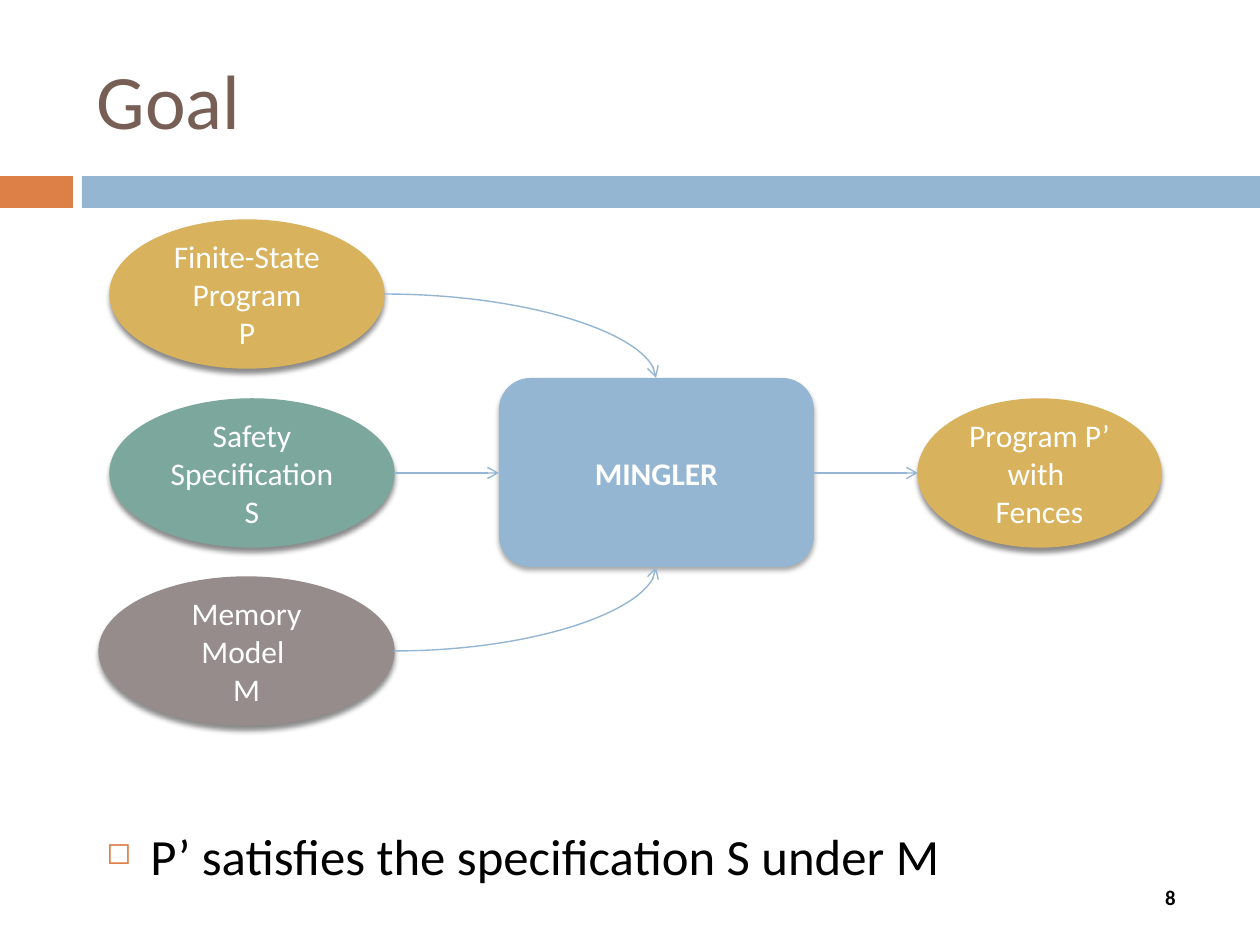
from dataclasses import dataclass
from lxml.etree import SubElement
from pptx import Presentation
from pptx.dml.color import RGBColor
from pptx.enum.shapes import MSO_CONNECTOR as Connector, MSO_SHAPE as Preset
from pptx.enum.text import MSO_ANCHOR as Anchor, PP_ALIGN as Align
from pptx.oxml.ns import qn
from pptx.util import Emu, Pt

PX = 914400 / 126


@dataclass(frozen=True)
class Theme:
    font: str = "Calibri"
    orange: str = "DD8047"
    blue: str = "94B6D2"
    gold: str = "D8B25C"
    green: str = "7BA79D"
    grey: str = "968C8C"
    brown: str = "775F55"
    black: str = "000000"
    white: str = "FFFFFF"
    title_size: float = 44
    body_size: float = 29
    node_size: float = 18
    number_size: float = 11.9
    line_width: float = 0.79


def px(*lengths):
    return [Emu(round(length * PX)) for length in lengths]


def write(shape, paragraphs, size, color, align=Align.CENTER, anchor=Anchor.MIDDLE, bold=False):
    frame = shape.text_frame
    frame.word_wrap = True
    frame.vertical_anchor = anchor
    for index, lines in enumerate(paragraphs):
        paragraph = frame.add_paragraph() if index else frame.paragraphs[0]
        paragraph.alignment = align
        for number, line in enumerate(lines.split("\n")):
            if number:
                paragraph.add_line_break()
            run = paragraph.add_run()
            run.text = line
            run.font.name = theme.font
            run.font.size = Pt(size)
            run.font.bold = bold
            run.font.color.rgb = RGBColor.from_string(color)


theme = Theme()
presentation = Presentation()
presentation.slide_width, presentation.slide_height = px(1260, 945)
slide = presentation.slides.add_slide(presentation.slide_layouts[5])
shapes = slide.shapes

title = shapes.title
title.left, title.top, title.width, title.height = px(84, 31, 1124, 136)
write(title, ["Goal"], theme.title_size, theme.brown, Align.LEFT)

for left, width, color in [(0, 73, theme.orange), (82, 1178, theme.blue)]:
    band = shapes.add_shape(Preset.RECTANGLE, *px(left, 176, width, 32))
    band.shadow.inherit = False
    band.fill.solid()
    band.fill.fore_color.rgb = RGBColor.from_string(color)
    band.line.fill.background()

claim = shapes.add_textbox(*px(94, 819, 1124, 126))
write(claim, ["P’ satisfies the specification S under M"], theme.body_size, theme.black,
      Align.LEFT, Anchor.TOP)
paragraph = claim.text_frame.paragraphs[0]
paragraph.space_before = Pt(7)
indent = px(44)[0]
properties = paragraph._p.get_or_add_pPr()
properties.set("marL", str(indent))
properties.set("indent", str(-indent))
bullet_color = SubElement(properties, qn("a:buClr"))
SubElement(bullet_color, qn("a:srgbClr"), val=theme.orange)
SubElement(properties, qn("a:buSzPct"), val="60000")
SubElement(properties, qn("a:buChar"), char="◻")

nodes = [
    (Preset.ROUNDED_RECTANGLE, (499, 378, 315, 189), theme.blue, ["MINGLER"]),
    (Preset.OVAL, (110, 220, 274, 148), theme.gold, ["Finite-State", "Program", "P"]),
    (Preset.OVAL, (110, 399, 284, 148), theme.green, ["Safety", "Specification S"]),
    (Preset.OVAL, (99, 577, 295, 148), theme.grey, ["Memory Model ", "M"]),
    (Preset.OVAL, (918, 399, 243, 148), theme.gold, ["Program P’\nwith \nFences"]),
]
for preset, box, color, paragraphs in nodes:
    is_tool = preset == Preset.ROUNDED_RECTANGLE
    node = shapes.add_shape(preset, *px(*box))
    node.fill.solid()
    node.fill.fore_color.rgb = RGBColor.from_string(color)
    if is_tool:
        node.line.fill.background()
    else:
        node.line.color.rgb = RGBColor.from_string(color)
        node.line.width = Pt(theme.line_width)
    node.shadow.inherit = False
    effects = node._element.spPr.find(qn("a:effectLst"))
    shadow = SubElement(effects, qn("a:outerShdw"), blurRad=str(Pt(3)),
                        dist=str(Pt(2 if is_tool else 2.4)), dir="5400000", rotWithShape="0")
    shadow_color = SubElement(shadow, qn("a:srgbClr"), val=theme.black)
    SubElement(shadow_color, qn("a:alpha"), val="35000" if is_tool else "45000")
    write(node, paragraphs, theme.node_size, theme.white, bold=is_tool)

arrows = [
    ((384, 294, 656, 378), "curvedConnector2"),
    ((394, 651, 656, 567), "curvedConnector2"),
    ((394, 473, 499, 473), "curvedConnector3"),
    ((814, 473, 918, 473), "curvedConnector3"),
]
for ends, geometry in arrows:
    arrow = shapes.add_connector(Connector.CURVE, *px(*ends))
    arrow.line.color.rgb = RGBColor.from_string(theme.blue)
    arrow.line.width = Pt(theme.line_width)
    outline = arrow.line._get_or_add_ln()
    SubElement(outline, qn("a:tailEnd"), type="arrow")
    arrow_properties = arrow._element.spPr
    arrow_properties.find(qn("a:prstGeom")).set("prst", geometry)
    SubElement(arrow_properties, qn("a:effectLst"))

page_number = shapes.add_textbox(*px(1134, 880, 73, 34))
write(page_number, ["8"], theme.number_size, theme.black, bold=True)

presentation.save("out.pptx")
